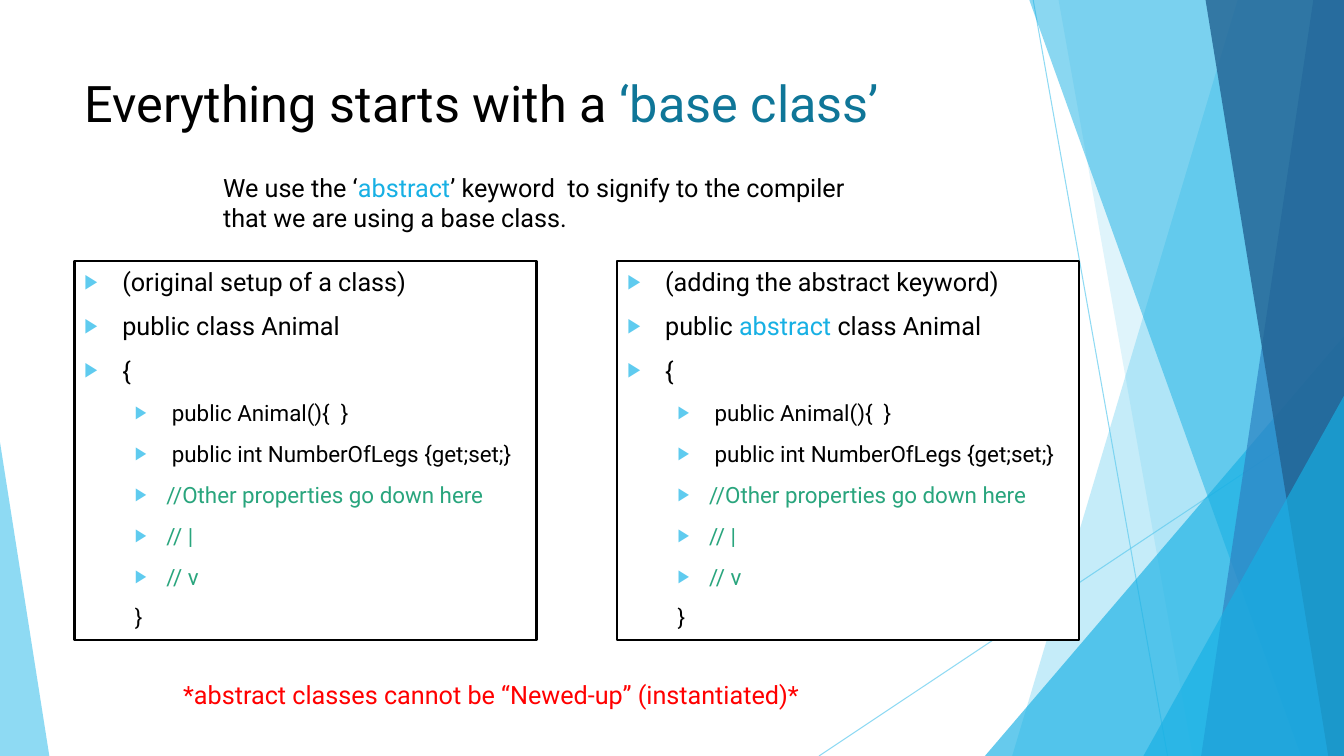
from lxml.etree import SubElement as Sub
from pptx import Presentation
from pptx.dml.color import RGBColor as RGB
from pptx.enum.shapes import MSO_CONNECTOR as Line, MSO_SHAPE as Kind
from pptx.enum.text import MSO_ANCHOR as Anchor, PP_ALIGN as Align
from pptx.oxml.ns import qn
from pptx.util import Pt

PX = 9525
WIDE, HIGH = 1280, 720
HUES = {
    "white": "FFFFFF", "black": "000000", "red": "FF0000", "green": "29A57D",
    "sky": "5FCBEF", "cyan": "17B0E4", "blue": "2E83C3", "navy": "226292",
    "teal": "0F7698",
}


def tint(fill, hue, alpha=100):
    """Make a fill solid, with its opacity in percent."""
    fill.solid()
    fill.fore_color.rgb = RGB.from_string(HUES[hue])
    if alpha < 100:
        node = fill._xPr.find(qn("a:solidFill"))[0]
        Sub(node, qn("a:alpha"), val=str(alpha * 1000))


def write(para, size, runs):
    """Add (text, colour) runs to a left-aligned paragraph."""
    para.alignment = Align.LEFT
    for text, hue in runs:
        run = para.add_run()
        run.text = text
        run.font.name = "Roboto"
        run.font.size = Pt(size)
        run.font.color.rgb = RGB.from_string(HUES[hue])


deck = Presentation()
deck.slide_width, deck.slide_height = WIDE * PX, HIGH * PX
slide = deck.slides.add_slide(deck.slide_layouts[6])
shapes = slide.shapes

# Thin rays behind the facets
for ends in [(984, 0, 1112, HIGH), (WIDE, 387, 780, HIGH)]:
    ray = shapes.add_connector(Line.STRAIGHT, *[n * PX for n in ends])
    tint(ray.line.fill, "sky", 70)
    ray.line.width = Pt(0.75)
    Sub(ray._element.spPr, qn("a:effectLst"))

# Bands give the top and bottom x of their left edge;
# triangles give left, top, width and apex, and stand on the slide's foot
facets = [
    ("sky", 36, (1179, 964)),
    ("sky", 20, (1008, 1136)),
    ("cyan", 66, (938, 320, 342, 1)),
    ("cyan", 50, (980, 1239)),
    ("blue", 70, (1251, 1144)),
    ("navy", 80, (1148, 1265)),
    ("cyan", 66, (1089, 377, 191, 1)),
    ("sky", 70, (0, 421, 47, 0)),
]
for hue, alpha, geo in facets:
    if len(geo) == 2:
        top, foot = geo
        pen = shapes.build_freeform(top, -1, scale=PX)
        pen.add_line_segments([(WIDE, -1), (WIDE, HIGH), (foot, HIGH)])
        facet = pen.convert_to_shape()
    else:
        left, top, width, apex = geo
        facet = shapes.add_shape(Kind.ISOSCELES_TRIANGLE, left * PX, top * PX,
                                 width * PX, (HIGH - top) * PX)
        facet.adjustments[0] = apex
    facet.shadow.inherit = False
    facet.line.fill.background()
    tint(facet.fill, hue, alpha)

# Title, introduction and warning
texts = [
    ((71, 64, 902, 84), 36, [("Everything starts with a ", "black"),
                             ("‘base class’", "teal")]),
    ((203, 159, 640, 68), 18, [
        ("We use the ‘", "black"), ("abstract", "cyan"),
        ("’ keyword  to signify to the compiler that we are using a base class.",
         "black")]),
    ((165, 642, 737, 38), 18, [
        ("*abstract classes cannot be “Newed-up” (instantiated)*", "red")]),
]
for place, size, runs in texts:
    box = shapes.add_textbox(*[n * PX for n in place])
    box.text_frame.word_wrap = True
    write(box.text_frame.paragraphs[0], size, runs)

# Code panels: margin, indent and text size by level
outer, inner, close = (36, -36, 18), (78, -30, 16), (48, 0, 16)
body = [
    (outer, [("{", "black")]),
    (inner, [(" public Animal(){  }", "black")]),
    (inner, [(" public int NumberOfLegs {get;set;}", "black")]),
    (inner, [("//Other properties go down here", "green")]),
    (inner, [("// |", "green")]),
    (inner, [("// v", "green")]),
    (close, [("}", "black")]),
]
panels = [
    (71, "(original setup of a class)", [("public class Animal", "black")]),
    (588, "(adding the abstract keyword)",
     [("public ", "black"), ("abstract", "cyan"), (" class Animal", "black")]),
]
for left, head, sign in panels:
    panel = shapes.add_shape(Kind.RECTANGLE, left * PX, 249 * PX,
                             440 * PX, 361 * PX)
    panel.shadow.inherit = False
    tint(panel.fill, "white")
    tint(panel.line.fill, "black")
    panel.line.width = Pt(1.5)
    frame = panel.text_frame
    frame.word_wrap = True
    frame.vertical_anchor = Anchor.TOP
    rows = [(outer, [(head, "black")]), (outer, sign)] + body
    for i, ((margin, indent, size), runs) in enumerate(rows):
        para = frame.add_paragraph() if i else frame.paragraphs[0]
        para.level = 0 if size == 18 else 1
        para.space_before = Pt(10)
        write(para, size, runs)
        props = para._p.get_or_add_pPr()
        props.set("marL", str(margin * PX))
        props.set("indent", str(indent * PX))
        if indent:
            Sub(Sub(props, qn("a:buClr")), qn("a:srgbClr"), val=HUES["sky"])
            Sub(props, qn("a:buSzPct"), val="80000")
            Sub(props, qn("a:buFont"), typeface="Roboto")
            Sub(props, qn("a:buChar"), char="▶")
        else:
            Sub(props, qn("a:buNone"))

deck.save("out.pptx")
